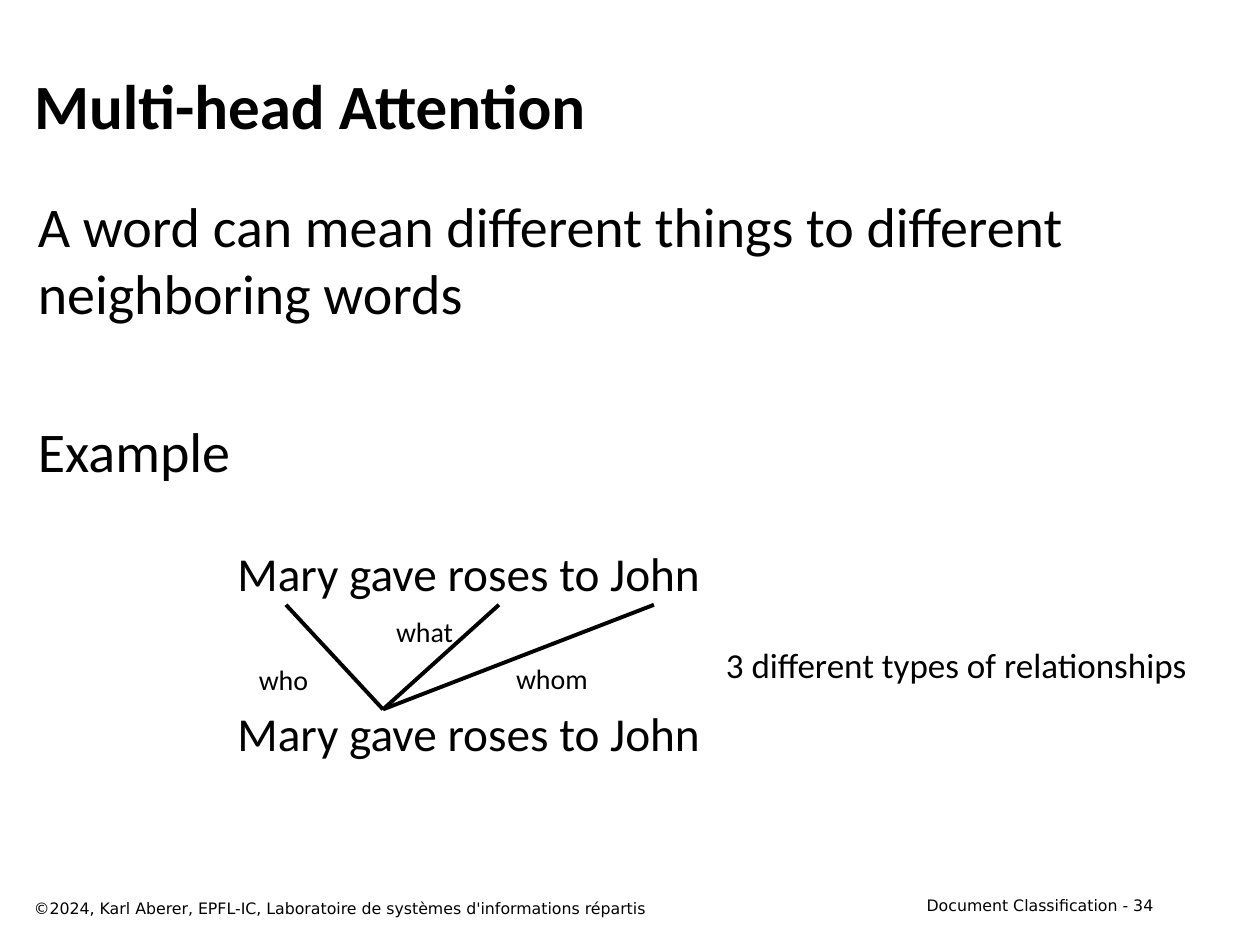
"""Build the multi-head attention slide on a grid of 100 columns by 75 rows."""
from lxml.etree import SubElement
from pptx import Presentation
from pptx.dml.color import RGBColor
from pptx.enum.shapes import MSO_CONNECTOR
from pptx.enum.text import MSO_ANCHOR, MSO_AUTO_SIZE, PP_ALIGN
from pptx.oxml.ns import qn
from pptx.util import Inches, Pt

BLACK = RGBColor(0x00, 0x00, 0x00)
COLUMNS, ROWS = 100, 75
WIDTH, HEIGHT = Inches(10), Inches(7.5)
SENTENCE = "Mary gave roses to John"


def across(columns):
    return round(WIDTH * columns / COLUMNS)


def down(rows):
    return round(HEIGHT * rows / ROWS)


def style(paragraph, size, face="Calibri", align=PP_ALIGN.LEFT, bold=False):
    paragraph.alignment = align
    font = paragraph.font
    font.name, font.size, font.bold = face, Pt(size), bold
    font.color.rgb = BLACK


def move(holder, left, top, width, height):
    holder.left, holder.top = across(left), down(top)
    holder.width, holder.height = across(width), down(height)
    holder.text_frame.auto_size = MSO_AUTO_SIZE.NONE


def add_title(slide, words):
    title = slide.shapes.title
    move(title, 1.7, 3.3, 90.8, 10)
    title.text_frame.text = words
    title.text_frame.vertical_anchor = MSO_ANCHOR.MIDDLE
    style(title.text_frame.paragraphs[0], 36, bold=True)


def add_body(slide, statements, gap):
    body = slide.placeholders[1]
    move(body, 2, 14.7, 90.8, 55)
    body.text_frame.text = "\n".join(statements)
    for index, paragraph in enumerate(body.text_frame.paragraphs):
        properties = paragraph._p.get_or_add_pPr()
        properties.set("marL", "0")
        properties.set("indent", "0")
        SubElement(properties, qn("a:buNone"))
        paragraph.space_before = Pt(gap if index else 0)
        style(paragraph, 32)


def add_label(slide, words, left, top, width, height, size):
    label = slide.shapes.add_textbox(across(left), down(top), across(width), down(height))
    label.text_frame.text = words
    label.text_frame.word_wrap = False
    label.text_frame.auto_size = MSO_AUTO_SIZE.SHAPE_TO_FIT_TEXT
    style(label.text_frame.paragraphs[0], size, align=PP_ALIGN.CENTER)


def add_footer(slide, words, left, top, width, align):
    footer = slide.shapes.add_textbox(across(left), down(top), across(width), down(2.5))
    footer.text_frame.text = words
    footer.text_frame.word_wrap = True
    style(footer.text_frame.paragraphs[0], 9, "DejaVu Sans", align)


def add_link(slide, start, end):
    link = slide.shapes.add_connector(
        MSO_CONNECTOR.STRAIGHT,
        across(start[0]), down(start[1]), across(end[0]), down(end[1]))
    link.line.color.rgb = BLACK
    link.line.width = Pt(2.25)
    SubElement(link._element.spPr, qn("a:effectLst"))


def main():
    deck = Presentation()
    deck.slide_width, deck.slide_height = WIDTH, HEIGHT
    slide = deck.slides.add_slide(deck.slide_layouts[1])

    add_title(slide, "Multi-head Attention")
    add_body(slide, ["A word can mean different things to different neighboring words",
                     "Example"], gap=52)

    for sentence_top in (42.7, 55.4):
        add_label(slide, SENTENCE, 17.7, sentence_top, 39, 5.6, 27)
    for word_center in (22.7, 39.6, 51.9):
        add_link(slide, (word_center, 48), (30.4, 56.3))
    for role, left, top, width in (("who", 19.5, 52.1, 6),
                                   ("what", 30.4, 48.3, 6.6),
                                   ("whom", 39.9, 52, 7.8)):
        add_label(slide, role, left, top, width, 3.7, 16)
    add_label(slide, "3 different types of relationships", 56.4, 50.6, 39, 4.4, 20)

    add_footer(slide, "©2024, Karl Aberer, EPFL-IC, Laboratoire de systèmes "
               "d'informations répartis", 1.7, 70.8, 64.2, PP_ALIGN.LEFT)
    add_footer(slide, "Document Classification - 34", 71.7, 70.6, 20.8, PP_ALIGN.RIGHT)
    deck.save("out.pptx")


if __name__ == "__main__":
    main()
